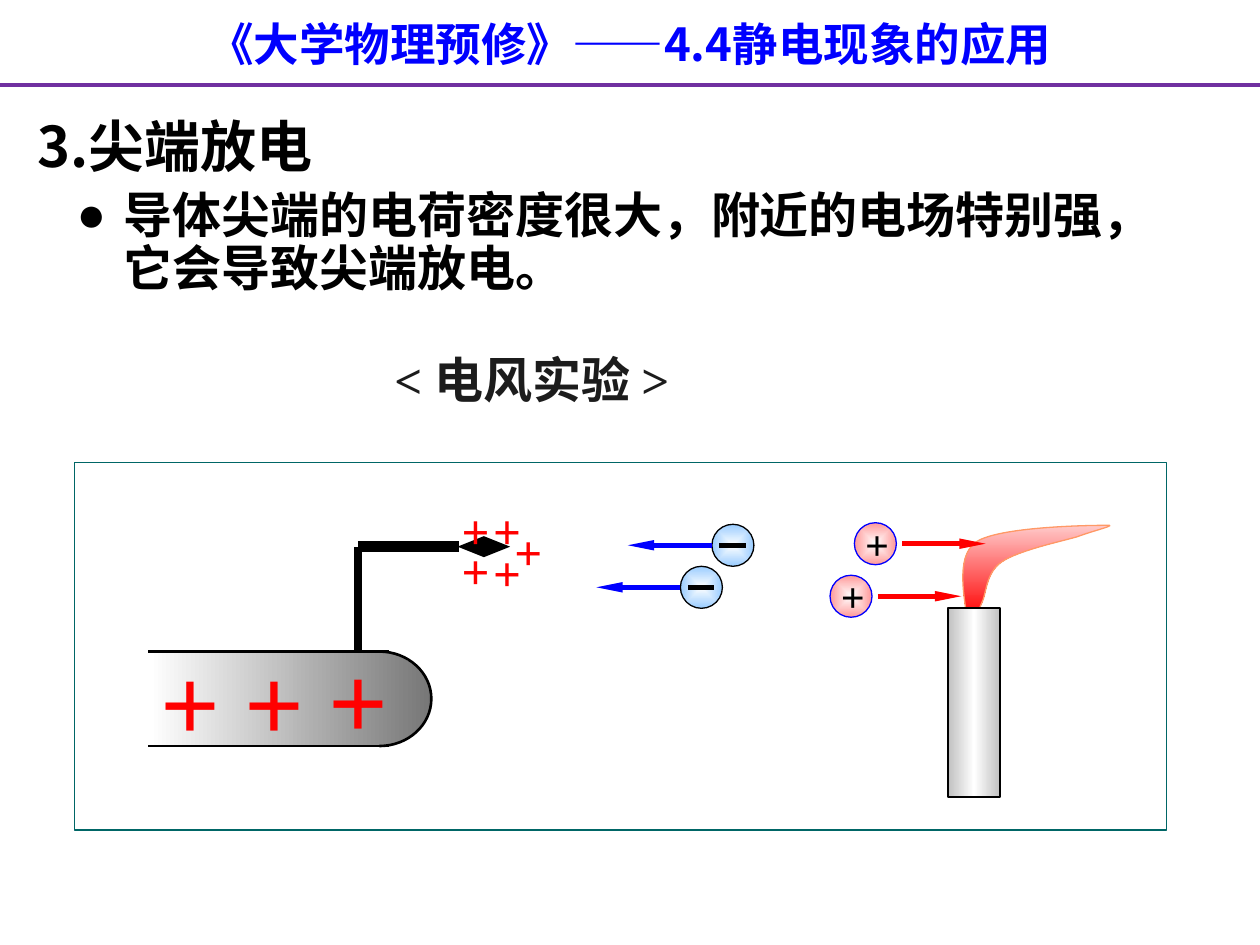
from lxml import etree
from pptx import Presentation
from pptx.dml.color import RGBColor
from pptx.enum.shapes import MSO_CONNECTOR, MSO_SHAPE
from pptx.enum.text import MSO_ANCHOR, MSO_AUTO_SIZE, PP_ALIGN
from pptx.oxml.ns import qn
from pptx.util import Pt

LEFT, CENTER = PP_ALIGN.LEFT, PP_ALIGN.CENTER
TOP = MSO_ANCHOR.TOP
NO_AUTOFIT = MSO_AUTO_SIZE.NONE
STRAIGHT = MSO_CONNECTOR.STRAIGHT
RECTANGLE, OVAL = MSO_SHAPE.RECTANGLE, MSO_SHAPE.OVAL

SANS, SERIF, BODY = "Noto Sans CJK SC", "Times New Roman", "Calibri"
BLACK, WHITE, RED, BLUE = "000000", "FFFFFF", "FF0000", "0000FF"
ION = 24  # diameter of an ion


def colour(value):
    return RGBColor.from_string(value)


def add_xml(parent, tag, **attributes):
    return etree.SubElement(parent, qn(tag), attributes)


def place(shape, left, top, width, height):
    shape.left, shape.top = Pt(left), Pt(top)
    shape.width, shape.height = Pt(width), Pt(height)


def write(box, text, *, size, font, ink=BLACK, align=LEFT, bullet=None,
          indent=0, spacing=1.0):
    frame = box.text_frame
    frame.word_wrap = True
    frame.auto_size = NO_AUTOFIT
    frame.vertical_anchor = TOP
    para = frame.paragraphs[0]
    if bullet:
        properties = para._p.get_or_add_pPr()
        properties.set("marL", str(Pt(indent)))
        properties.set("indent", str(-Pt(indent)))
        add_xml(properties, "a:buChar", char=bullet)
    para.alignment = align
    para.line_spacing = spacing
    para.space_before = Pt(0)
    span = para.add_run()
    span.text = text
    span.font.size, span.font.bold, span.font.name = Pt(size), True, font
    span.font.color.rgb = colour(ink)
    add_xml(span._r.get_or_add_rPr(), "a:ea", typeface=SANS)


def add_text(page, text, left, top, width, height, **style):
    box = page.shapes.add_textbox(Pt(left), Pt(top), Pt(width), Pt(height))
    write(box, text, **style)


def paint(shape, fill=None, line=None, weight=0.75, angle=None):
    """Fill with one colour, or a gradient: linear by angle, else from the centre."""
    shape.shadow.inherit = False
    if line:
        shape.line.color.rgb = colour(line)
        shape.line.width = Pt(weight)
    else:
        shape.line.fill.background()
    if fill is None:
        shape.fill.background()
        return
    shape.fill.solid()
    if isinstance(fill, str):
        shape.fill.fore_color.rgb = colour(fill)
        return
    solid = shape._element.spPr.find(qn("a:solidFill"))
    gradient = etree.Element(qn("a:gradFill"), rotWithShape="1")
    stops = add_xml(gradient, "a:gsLst")
    for index, value in enumerate(fill):
        position = 100000 * index // (len(fill) - 1)
        stop = add_xml(stops, "a:gs", pos=str(position))
        add_xml(stop, "a:srgbClr", val=value)
    if angle is None:
        centre = add_xml(gradient, "a:path", path="shape")
        add_xml(centre, "a:fillToRect", l="50000", t="50000", r="50000", b="50000")
    else:
        add_xml(gradient, "a:lin", ang=str(angle * 60000), scaled="0")
    solid.getparent().replace(solid, gradient)


def add_shape(page, kind, left, top, width, height, **style):
    shape = page.shapes.add_shape(kind, Pt(left), Pt(top), Pt(width), Pt(height))
    paint(shape, **style)


def bend(shape):
    """Turn each three line segments of an outline into one cubic curve."""
    segments = list(shape._element.iter(qn("a:lnTo")))
    for first, second, third in zip(segments[::3], segments[1::3], segments[2::3]):
        cubic = etree.Element(qn("a:cubicBezTo"))
        first.addprevious(cubic)
        for segment in (first, second, third):
            cubic.append(segment[0])
            segment.getparent().remove(segment)


def add_outline(page, points, close=True, curved=False, **style):
    corners = [(Pt(x), Pt(y)) for x, y in points]
    builder = page.shapes.build_freeform(*corners[0], scale=1.0)
    builder.add_line_segments(corners[1:], close=close)
    shape = builder.convert_to_shape()
    if curved:
        bend(shape)
    paint(shape, **style)


def add_line(page, start, end, ink=BLACK, weight=1.5, head=None):
    line = page.shapes.add_connector(STRAIGHT, *[Pt(v) for v in (*start, *end)])
    line.line.color.rgb = colour(ink)
    line.line.width = Pt(weight)
    if head:
        add_xml(line.line._get_or_add_ln(), "a:tailEnd", type=head, w="sm", len="lg")
    add_xml(line._element.spPr, "a:effectLst")


def add_plus(page, left, top, width, height, size, ink=RED):
    add_text(page, "+", left, top, width, height, size=size, font=SERIF, ink=ink)


def add_conductor(page):
    top, bottom = 372.3, 426.3
    body = [(85.5, top), (224, 373), (232, 377.3), (239, 381.6), (244, 388),
            (247, 401), (242.6, 411.8), (234.7, 421.2), (229.7, 424), (221.8, bottom),
            (85.5, bottom)]
    add_outline(page, body, fill=(WHITE, "767676"), angle=0)
    for y in (top, bottom):
        add_line(page, (84.6, y), (222.4, y))
    # Rounded end
    cap = [(216.8, top), (233.3, top), (246.5, 384.5), (246.5, 399.3),
           (246.5, 414.2), (233.3, bottom), (216.8, bottom)]
    add_outline(page, cap, close=False, curved=True, line=BLACK, weight=1.5)
    # Bent rod with the pointed tip
    add_line(page, (204.5, top), (204.5, 312.4), weight=4.5)
    add_line(page, (204.5, 312.4), (276.5, 312.4), weight=6, head="diamond")
    # Charges on the body, then around the tip
    for left, y in ((180.5, 359), (132.5, 360), (84.5, 360)):
        add_plus(page, left, y, 66, 79, 60)
    for left, y in ((256.8, 282.7), (274.8, 282.7), (274.8, 306.7), (256.8, 305.3),
                    (286.8, 294.5)):
        add_plus(page, left, y, 36, 41, 28)


def add_candle(page):
    flame = [
        (552.2, 352.1),
        (552.2, 344.9), (545, 318.2), (558, 309.6),
        (571, 301), (621.4, 300.2), (631.4, 300.2),
        (640.8, 299.5), (625, 303.1), (615.6, 306.7),
        (605.5, 309.6), (581.8, 314.6), (572.4, 321.1),
        (563, 327.6), (563.8, 339.8), (560.9, 344.9),
        (558.7, 349.9), (559.4, 351.4), (558, 352.1),
        (556.6, 353.5), (553.7, 352.1), (552.2, 352.1),
    ]
    add_outline(page, flame, curved=True, fill=("FFCCCC", RED), line="FF9966", angle=90)
    add_shape(page, RECTANGLE, 541.7, 347.5, 30, 108,
              fill=("C0C0C0", WHITE, "C0C0C0"), line=BLACK, weight=1, angle=0)


def add_negative_ion(page, left, top):
    middle = top + ION / 2
    add_shape(page, OVAL, left, top, ION, ION, fill=(WHITE, "99CCFF"), line=BLACK)
    add_line(page, (left + 4.3, middle), (left + 19.5, middle), weight=3)
    add_line(page, (left, middle), (left - 48, middle), BLUE, 3, "triangle")


def add_positive_ion(page, left, top):
    middle = top + ION / 2
    add_shape(page, OVAL, left, top, ION, ION, fill=(WHITE, "FF9999"), line=BLUE)
    add_plus(page, left - 0.9, top - 6.1, 28, 36, 24, BLACK)
    add_line(page, (left + 27.3, middle), (left + 75, middle), RED, 3, "triangle")


def main():
    deck = Presentation()
    deck.slide_width, deck.slide_height = Pt(720), Pt(540)
    page = deck.slides.add_slide(deck.slide_layouts[1])
    title, body = page.placeholders

    # Header
    place(title, 0, 5.7, 720, 39)
    write(title, "《大学物理预修》——4.4静电现象的应用", size=26, font=SANS,
          ink=BLUE, align=CENTER)
    add_line(page, (0, 48.7), (720, 48.7), "7030A0", 2.25)

    # Section heading and statement
    add_text(page, "3.尖端放电", 14.2, 60.1, 453.6, 46, size=32, font=SANS)
    place(body, 36.6, 105.5, 619, 69)
    write(body, "导体尖端的电荷密度很大，附近的电场特别强，它会导致尖端放电。",
          size=28, font=BODY, bullet="●", indent=27, spacing=0.9)
    add_text(page, "< 电风实验 >", 218.3, 196, 240, 41, size=28, font=SERIF, ink="1C1C1C")

    # Electric wind experiment
    add_shape(page, RECTANGLE, 42.5, 264.3, 624, 210, fill=WHITE, line="006666")
    add_conductor(page)
    add_candle(page)
    for left, top in ((406.8, 299.6), (388.8, 323.6)):
        add_negative_ion(page, left, top)
    for left, top in ((488.2, 298.7), (474.3, 328.7)):
        add_positive_ion(page, left, top)

    deck.save("out.pptx")


if __name__ == "__main__":
    main()
